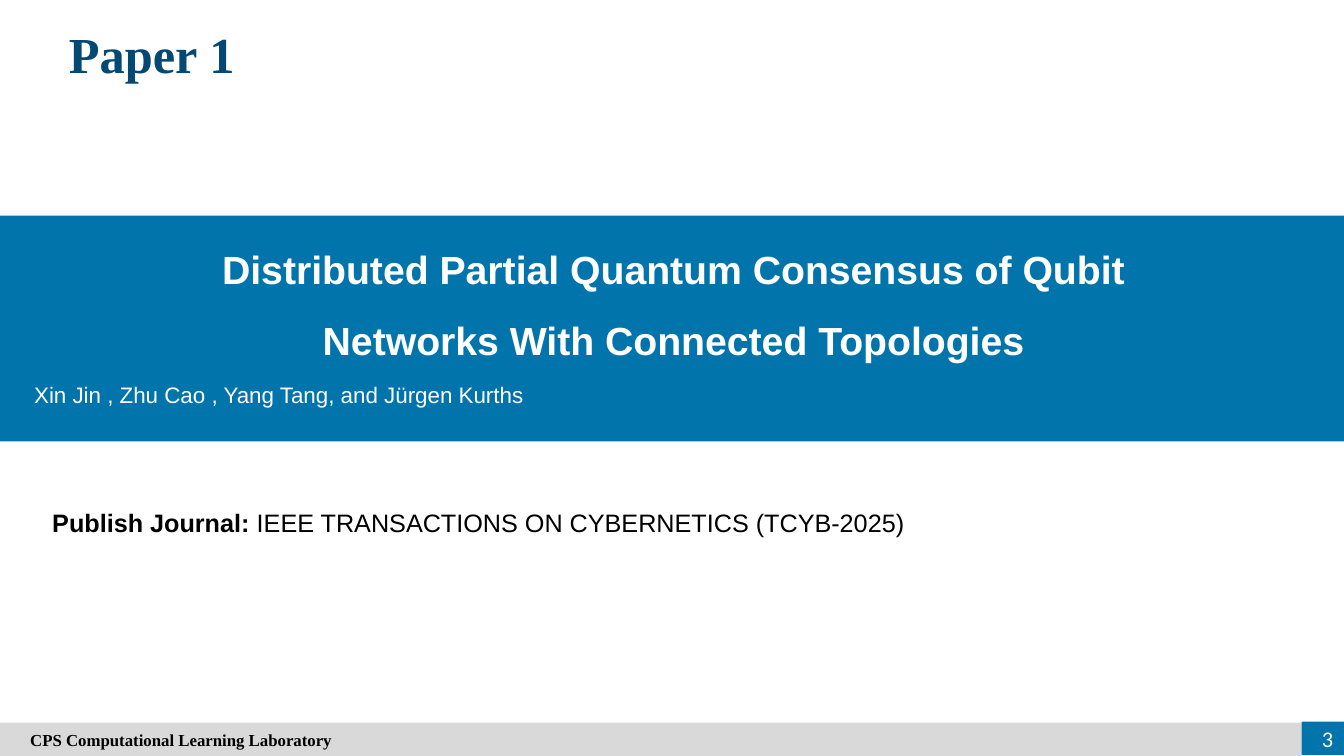
import pptx
import pptx.util
import pptx.dml.color
import pptx.enum.shapes
import pptx.enum.text

Inches = pptx.util.Inches
RGBColor = pptx.dml.color.RGBColor
ALIGN = pptx.enum.text.PP_ALIGN
ANCHOR = pptx.enum.text.MSO_ANCHOR

BLUE = RGBColor(0x01, 0x74, 0xAB)
NAVY = RGBColor(0x04, 0x48, 0x75)
GREY = RGBColor(0xD9, 0xD9, 0xD9)
WHITE = RGBColor(0xFF, 0xFF, 0xFF)
BLACK = RGBColor(0x00, 0x00, 0x00)

SLIDE_W, SLIDE_H = 13.33, 7.5


def add_rect(s, x, y, w, h, fill):
    sp = s.shapes.add_shape(pptx.enum.shapes.MSO_SHAPE.RECTANGLE,
                            Inches(x), Inches(y), Inches(w), Inches(h))
    sp.shadow.inherit = False
    sp.fill.solid()
    sp.fill.fore_color.rgb = fill
    sp.line.fill.background()
    return sp


def add_box(s, x, y, w, h):
    return s.shapes.add_textbox(Inches(x), Inches(y), Inches(w), Inches(h))


def write(sp, *paragraphs, size, color, font="Arial", bold=False,
          align=ALIGN.LEFT, anchor=ANCHOR.TOP, spacing=None):
    """Fill a shape; a paragraph is a string or a list of (text, bold) runs."""
    tf = sp.text_frame
    tf.word_wrap = True
    tf.vertical_anchor = anchor
    for i, runs in enumerate(paragraphs):
        p = tf.add_paragraph() if i else tf.paragraphs[0]
        p.alignment = align
        p.line_spacing = spacing
        for text, is_bold in [(runs, bold)] if isinstance(runs, str) else runs:
            r = p.add_run()
            r.text = text
            r.font.name = font
            r.font.size = pptx.util.Pt(size)
            r.font.bold = is_bold
            r.font.color.rgb = color


def add_heading(s, x, y, w, h):
    write(add_box(s, x, y, w, h), "Paper 1", size=36, color=NAVY,
          font="Times New Roman", bold=True, align=ALIGN.CENTER)


def add_title_band(s, x, y, w, h):
    add_rect(s, x, y, w, h, BLUE)
    write(add_box(s, x, y + 0.05, w + 0.03, 1.43),
          "Distributed Partial Quantum Consensus of Qubit",
          "Networks With Connected Topologies",
          size=28, color=WHITE, bold=True, align=ALIGN.CENTER,
          anchor=ANCHOR.MIDDLE, spacing=1.5)
    write(add_box(s, x + 0.24, y + 1.59, w - 0.24, 0.37),
          "Xin Jin , Zhu Cao , Yang Tang, and Jürgen Kurths",
          size=16, color=WHITE)


def add_journal(s, x, y, w, h):
    write(add_box(s, x, y, w, h),
          [("Publish Journal:", True),
           (" IEEE TRANSACTIONS ON CYBERNETICS (TCYB-2025)", False)],
          size=18, color=BLACK)


def add_footer(s, x, y, w, h):
    number_w = 0.42
    bar = add_rect(s, x, y, w - number_w, h, GREY)
    bar.text_frame.margin_left = Inches(0.3)
    write(bar, "CPS Computational Learning Laboratory", size=12, color=BLACK,
          font="Times New Roman", bold=True, anchor=ANCHOR.MIDDLE)
    add_rect(s, x + w - number_w, y - 0.01, number_w, h, BLUE)
    write(add_box(s, x + w - 0.64, y - 0.04, 0.63, 0.4), "3", size=16,
          color=WHITE, font="Calibri", align=ALIGN.RIGHT, anchor=ANCHOR.MIDDLE)


def main():
    prs = pptx.Presentation()
    prs.slide_width, prs.slide_height = Inches(SLIDE_W), Inches(SLIDE_H)
    s = prs.slides.add_slide(prs.slide_layouts[6])
    add_title_band(s, 0, 2.14, SLIDE_W, 2.24)
    add_journal(s, 0.42, 4.98, 11.44, 0.4)
    add_heading(s, 0.38, 0.18, 2.25, 0.71)
    add_footer(s, 0, SLIDE_H - 0.33, SLIDE_W, 0.33)
    prs.save("out.pptx")


if __name__ == "__main__":
    main()
